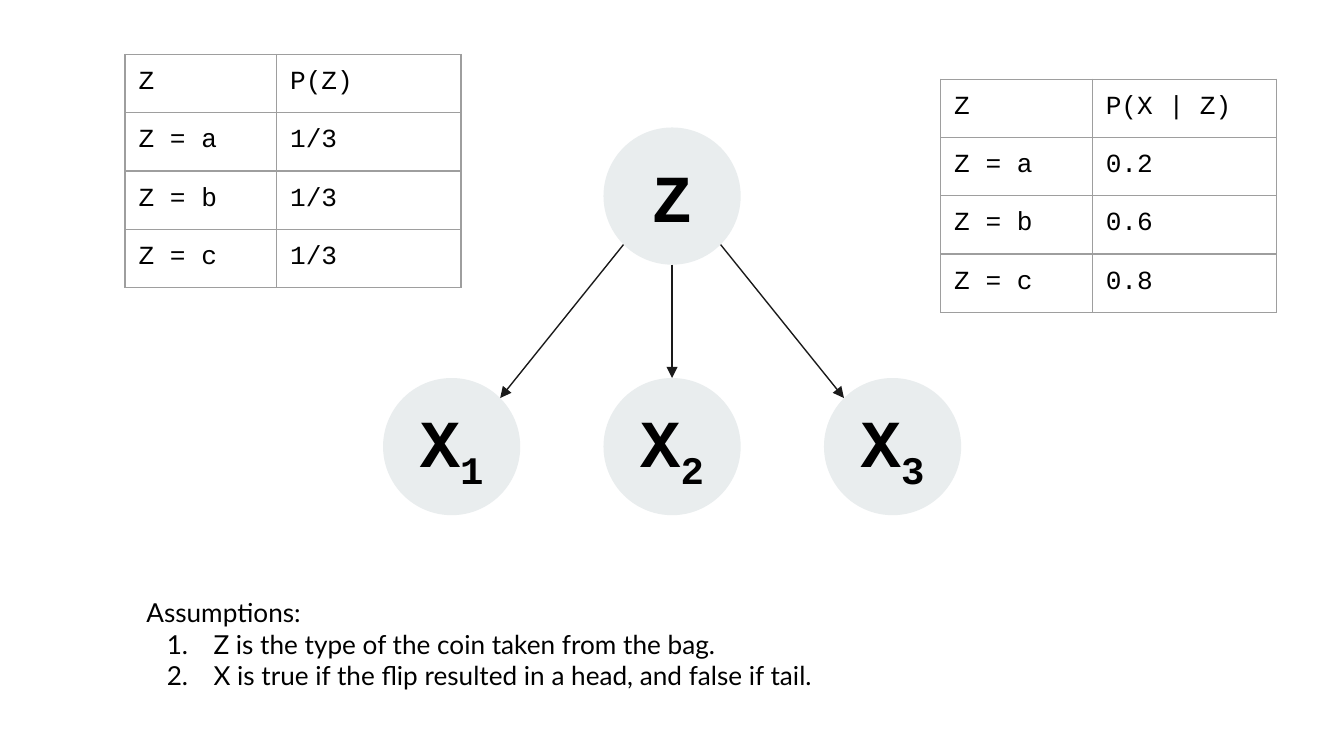
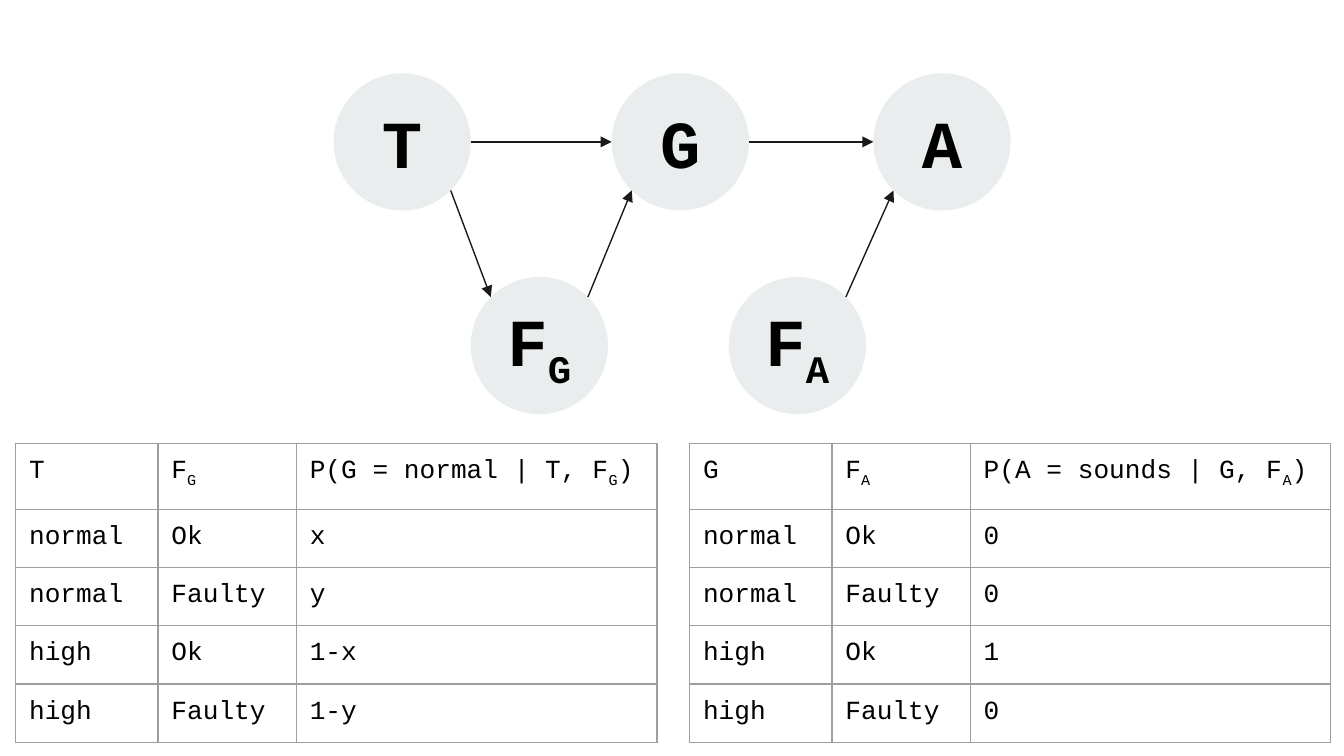
from lxml import etree
from pptx import Presentation
from pptx.dml.color import RGBColor
from pptx.enum import shapes, text
from pptx.oxml import ns
from pptx.util import Pt

COLORS = {"node": "E9EDEE", "edge": "1A1A1A", "border": "9E9E9E", "text": "000000"}
MONO, SANS = "Courier New", "Lato"
NODE_SIZE, INSET = 73.5, 7.2
ROW_HEIGHT = 31.2

# Ellipse connection sites: index and position as fractions of the diameter
NEAR, FAR = 0.146, 0.854
SITES = {
    "top": (0, 0.5, 0), "top_left": (1, NEAR, NEAR), "left": (2, 0, 0.5),
    "bottom_left": (3, NEAR, FAR), "bottom": (4, 0.5, 1),
    "bottom_right": (5, FAR, FAR), "right": (6, 1, 0.5), "top_right": (7, FAR, NEAR),
}


def rgb(name):
    return RGBColor.from_string(COLORS[name])


def sub(parent, tag, **attrs):
    return etree.SubElement(parent, ns.qn(tag), **attrs)


def set_insets(target):
    for side in ("left", "top", "right", "bottom"):
        setattr(target, f"margin_{side}", Pt(INSET))


def format_run(r, size, font, bold=False):
    r.font.size, r.font.name, r.font.bold = Pt(size), font, bold
    r.font.color.rgb = rgb("text")


def write_math(p, label, size, bold=False):
    """Write a label in which the letter after each underscore is a subscript."""
    first, *rest = label.split("_")
    pieces = [(first, False)]
    for part in rest:
        pieces += [(part[0], True), (part[1:], False)]
    for piece, lowered in pieces:
        if piece:
            r = p.add_run()
            r.text = piece
            format_run(r, size, MONO, bold)
            if lowered:
                r._r.get_or_add_rPr().set("baseline", "-25000")


def add_node(s, label, left, top):
    sp = s.shapes.add_shape(shapes.MSO_SHAPE.OVAL, Pt(left), Pt(top), Pt(NODE_SIZE), Pt(NODE_SIZE))
    sp.shadow.inherit = False
    sp.fill.solid()
    sp.fill.fore_color.rgb = rgb("node")
    sp.line.fill.background()
    tf = sp.text_frame
    set_insets(tf)
    tf.word_wrap = True
    tf.vertical_anchor = text.MSO_ANCHOR.MIDDLE
    p = tf.paragraphs[0]
    p.alignment = text.PP_ALIGN.CENTER
    write_math(p, label, 36, bold=True)
    return sp


def add_edge(s, source, source_site, target, target_site):
    """Draw an arrow glued to a connection site of each node."""
    ends = []
    for node, site in ((source, source_site), (target, target_site)):
        _, fx, fy = SITES[site]
        ends += [node.left + int(node.width * fx), node.top + int(node.height * fy)]
    cxn = s.shapes.add_connector(shapes.MSO_CONNECTOR.STRAIGHT, *ends)
    cxn.line.color.rgb = rgb("edge")
    cxn.line.width = Pt(0.75)
    sub(cxn.line._get_or_add_ln(), "a:tailEnd", type="triangle")
    sub(cxn._element.spPr, "a:effectLst")
    glue = cxn._element.find(".//" + ns.qn("p:cNvCxnSpPr"))
    for tag, node, site in (("a:stCxn", source, source_site), ("a:endCxn", target, target_site)):
        sub(glue, tag, id=str(node.shape_id), idx=str(SITES[site][0]))


def add_network(s, left, top, nodes, edges):
    """Place nodes by offset from the network's corner, then link them."""
    placed = {label: add_node(s, label, left + x, top + y) for label, (x, y) in nodes.items()}
    for source, source_site, target, target_site in edges:
        add_edge(s, placed[source], source_site, placed[target], target_site)


def style_cell(cell, label):
    set_insets(cell)
    write_math(cell.text_frame.paragraphs[0], label, 14)
    tc_pr = cell._tc.get_or_add_tcPr()
    for tag in ("a:lnL", "a:lnR", "a:lnT", "a:lnB"):
        ln = sub(tc_pr, tag, w=str(Pt(0.75)))
        sub(sub(ln, "a:solidFill"), "a:srgbClr", val=COLORS["border"])
    cell.fill.background()


def add_probability_table(s, left, top, widths, rows, header_height=ROW_HEIGHT):
    heights = [header_height] + [ROW_HEIGHT] * (len(rows) - 1)
    table = s.shapes.add_table(len(rows), len(widths), Pt(left), Pt(top),
                               Pt(sum(widths)), Pt(sum(heights))).table
    table.first_row = table.horz_banding = False
    for column, width in zip(table.columns, widths):
        column.width = Pt(width)
    for row, height, labels in zip(table.rows, heights, rows):
        row.height = Pt(height)
        for cell, label in zip(row.cells, labels):
            style_cell(cell, label)


def add_assumptions(s, left, top, width, height, heading, items):
    tf = s.shapes.add_textbox(Pt(left), Pt(top), Pt(width), Pt(height)).text_frame
    set_insets(tf)
    tf.word_wrap = True
    tf.auto_size = text.MSO_AUTO_SIZE.SHAPE_TO_FIT_TEXT
    tf.text = "\n".join([heading, *items])
    for i, p in enumerate(tf.paragraphs):
        format_run(p.runs[0], 14, SANS)
        if i:
            p_pr = p._p.get_or_add_pPr()
            p_pr.set("marL", str(Pt(36)))
            p_pr.set("indent", str(Pt(-25)))
            sub(sub(p_pr, "a:buClr"), "a:srgbClr", val=COLORS["text"])
            sub(p_pr, "a:buAutoNum", type="arabicPeriod")


def build_coin_slide(s):
    step, drop = 118.1, 134.2
    nodes = {"Z": (step, 0)}
    nodes.update({f"X_{i + 1}": (i * step, drop) for i in range(3)})
    add_network(s, 205.2, 68.3, nodes, [
        ("Z", "bottom_left", "X_1", "top_right"),
        ("Z", "bottom", "X_2", "top"),
        ("Z", "bottom_right", "X_3", "top_left"),
    ])
    states = ["Z", "Z = a", "Z = b", "Z = c"]
    for left, top, values in (
        (504, 42.5, ["P(X | Z)", "0.2", "0.6", "0.8"]),
        (67, 29.2, ["P(Z)"] + ["1/3"] * 3),
    ):
        add_probability_table(s, left, top, (81.2, 98.8), list(zip(states, values)))
    add_assumptions(s, 71.3, 312.5, 577.5, 65.5, "Assumptions:", [
        "Z is the type of the coin taken from the bag.",
        "X is true if the flip resulted in a head, and false if tail.",
    ])


def build_alarm_slide(s):
    drop = 109.1
    nodes = {"T": (0, 0), "G": (149, 0), "A": (289.2, 0),
             "F_G": (73.5, drop), "F_A": (211.7, drop)}
    add_network(s, 178.7, 39.3, nodes, [
        ("T", "right", "G", "left"),
        ("G", "right", "A", "left"),
        ("T", "bottom_right", "F_G", "top_left"),
        ("F_G", "top_right", "G", "bottom_left"),
        ("F_A", "top_right", "A", "bottom_left"),
    ])
    for left, cause, fault, result, values in (
        (8.4, "T", "F_G", "G = normal", ["x", "y", "1-x", "1-y"]),
        (369.4, "G", "F_A", "A = sounds", ["0", "0", "1", "0"]),
    ):
        header = (cause, fault, f"P({result} | {cause}, {fault})")
        cases = [(level, state) for level in ("normal", "high") for state in ("Ok", "Faulty")]
        rows = [header] + [(*case, value) for case, value in zip(cases, values)]
        add_probability_table(s, left, 237.5, (76.3, 74.1, 193.2), rows, header_height=35.4)


def main():
    prs = Presentation()
    prs.slide_width, prs.slide_height = Pt(720), Pt(405)
    for build in (build_coin_slide, build_alarm_slide):
        build(prs.slides.add_slide(prs.slide_layouts[6]))
    prs.save("out.pptx")


if __name__ == "__main__":
    main()
